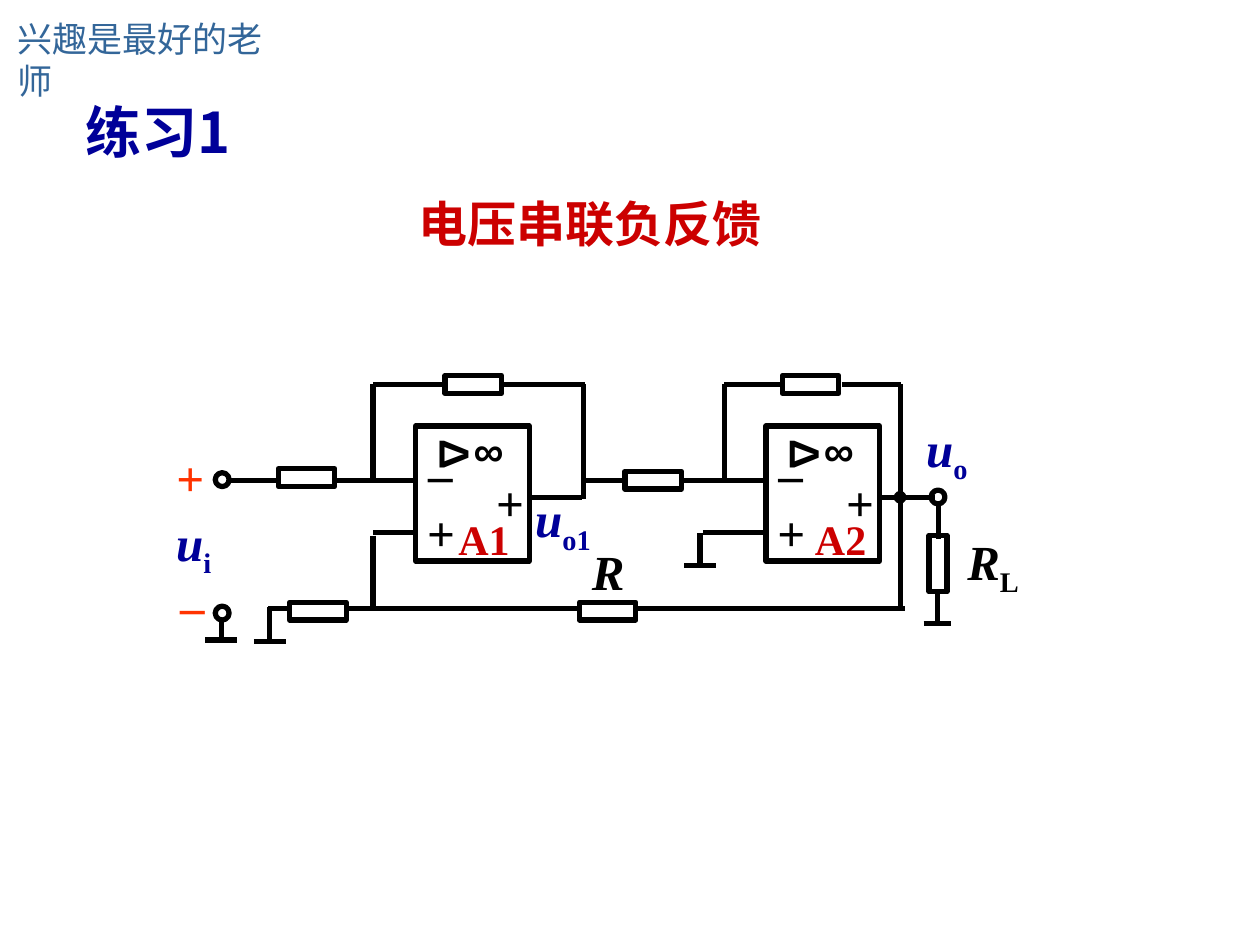
"""Build the exercise slide with a two-stage op-amp feedback circuit."""
from lxml.etree import SubElement
from pptx import Presentation
from pptx.dml.color import RGBColor
from pptx.enum.shapes import MSO_CONNECTOR, MSO_SHAPE
from pptx.enum.text import MSO_ANCHOR, PP_ALIGN
from pptx.oxml.ns import qn
from pptx.util import Cm, Pt

COLORS = {"ink": "000000", "navy": "000099", "red": "CC0000",
          "orange": "FF3300", "steel": "336699"}
CJK, SERIF, SANS = "Noto Sans CJK SC", "Times New Roman", "Arial"
STAGE_STEP = 7.06

HORIZONTAL_WIRES = [
    (7.75, 7.52, 8.97), (7.75, 10.16, 11.79),
    (7.75, 14.6, 15.77), (7.75, 16.97, 18.16),
    (9.68, 4.62, 5.61), (9.68, 6.78, 8.36),
    (9.68, 11.76, 12.62), (9.68, 13.77, 15.49),
    (10.03, 10.67, 11.73), (10.03, 17.73, 18.85),
    (10.74, 7.52, 8.41), (10.74, 14.17, 15.44),
    (12.27, 5.41, 5.84), (12.27, 6.99, 11.63), (12.27, 12.83, 18.24),
]
VERTICAL_WIRES = [
    (7.52, 7.75, 9.7), (7.52, 10.8, 12.27), (11.76, 7.75, 10.06),
    (14.6, 7.75, 9.7), (18.16, 7.75, 12.27), (18.92, 10.19, 10.87),
]
GROUNDS = [(4.46, 12.45, 12.9, 0.32), (5.44, 12.24, 12.93, 0.32),
           (14.11, 10.74, 11.4, 0.32), (18.9, 11.94, 12.57, 0.28)]
RESISTORS = [(8.97, 7.57), (15.77, 7.57), (5.61, 9.45), (12.6, 9.5),
             (5.84, 12.14), (11.68, 12.14)]
TERMINALS = [(4.34, 9.53), (4.34, 12.22), (18.77, 9.88)]
SYMBOLS = [("u", "o1", "navy", 10.54, 9.73, 2.49),
           ("u", "i", "navy", 3.3, 10.21, 1.35),
           ("u", "o", "navy", 18.42, 8.31, 2.49),
           ("R", "L", "ink", 19.25, 10.59, 2.49),
           ("R", "", "ink", 11.68, 10.8, 1.55)]


def add_text(s, text, x, y, w, h, size, color, font=SERIF, bold=True,
             align=PP_ALIGN.LEFT, wrap=True, subscript=None):
    """Add a one-line text box; a subscript of any length makes the base italic."""
    sp = s.shapes.add_textbox(Cm(x), Cm(y), Cm(w), Cm(h))
    tf = sp.text_frame
    tf.word_wrap = wrap
    p = tf.paragraphs[0]
    p.alignment = align
    p.font.size, p.font.bold, p.font.name = Pt(size), bold, font
    p.font.color.rgb = RGBColor.from_string(COLORS[color])
    SubElement(p._p.pPr.find(qn("a:defRPr")), qn("a:ea"), typeface=CJK)
    r = p.add_run()
    r.text = text
    if subscript is not None:
        r.font.italic = True
    if subscript:
        r = p.add_run()
        r.text = subscript
        r._r.get_or_add_rPr().set("baseline", "-25000")
    return sp


def add_outline(s, kind, x, y, w, h, filled=False):
    """Add a black outlined shape, solid black if filled."""
    sp = s.shapes.add_shape(kind, Cm(x), Cm(y), Cm(w), Cm(h))
    sp.shadow.inherit = False
    ink = RGBColor.from_string(COLORS["ink"])
    if filled:
        sp.fill.solid()
        sp.fill.fore_color.rgb = ink
    else:
        sp.fill.background()
    sp.line.color.rgb = ink
    sp.line.width = Pt(0.75 if filled else 3)
    return sp


def add_wire(s, x1, y1, x2, y2):
    """Add a straight black wire."""
    line = s.shapes.add_connector(MSO_CONNECTOR.STRAIGHT,
                                  Cm(x1), Cm(y1), Cm(x2), Cm(y2))
    line.line.color.rgb = RGBColor.from_string(COLORS["ink"])
    line.line.width = Pt(3)
    SubElement(line._element.spPr, qn("a:effectLst"))


def add_ground(s, x, top, bottom, half):
    """Add a ground lead with its bar."""
    add_wire(s, x, top, x, bottom)
    add_wire(s, x - half, bottom, x + half, bottom)


def add_resistor(s, x, y):
    """Add a horizontal resistor body."""
    return add_outline(s, MSO_SHAPE.RECTANGLE, x, y, 1.14, 0.36)


def add_amplifier(s, dx, name, name_x):
    """Add an op-amp block with its pin signs and name."""
    add_outline(s, MSO_SHAPE.RECTANGLE, 8.38 + dx, 8.59, 2.29, 2.72)
    for sign, x, y, w in (("+", 8.36, 10.01, 0.99), ("+", 9.75, 9.4, 1.78),
                          ("–", 8.38, 8.81, 1.45)):
        add_text(s, sign, x + dx, y, w, 1.45, 28, "ink")
    add_text(s, "∞", 9.3 + dx, 8.43, 2.31, 1.27, 24, "ink", SANS)
    gain = add_text(s, "Δ", 8.69 + dx, 8.48, 1.02, 1.27, 24, "ink", SANS,
                    align=PP_ALIGN.CENTER, wrap=False)
    gain.rotation = 90
    add_text(s, name, name_x, 10.22, 1.55, 1.27, 24, "red", wrap=False)


def add_headings(s):
    """Add the motto, the exercise title and the answer."""
    add_text(s, "兴趣是最好的老师", 0.1, 0.23, 5.72, 0.81, 20, "steel", CJK,
             bold=False, wrap=False)
    title = add_text(s, "练习1", 1.47, 1.9, 15.04, 1.47, 32, "navy", CJK)
    title.text_frame.vertical_anchor = MSO_ANCHOR.MIDDLE
    add_text(s, "电压串联负反馈", 7.7, 3.78, 8.38, 1.45, 28, "red",
             align=PP_ALIGN.CENTER)


def add_circuit(s):
    """Add the wires, components and labels of the circuit."""
    for y, x1, x2 in HORIZONTAL_WIRES:
        add_wire(s, x1, y, x2, y)
    for x, y1, y2 in VERTICAL_WIRES:
        add_wire(s, x, y1, x, y2)
    for ground in GROUNDS:
        add_ground(s, *ground)
    for x, y in RESISTORS:
        add_resistor(s, x, y)
    add_resistor(s, 18.34, 11.18).rotation = 270
    for x, y in TERMINALS:
        add_outline(s, MSO_SHAPE.OVAL, x, y, 0.28, 0.28)
    add_outline(s, MSO_SHAPE.OVAL, 18.03, 9.91, 0.23, 0.23, filled=True)
    add_amplifier(s, 0, "A1", 8.99)
    add_amplifier(s, STAGE_STEP, "A2", 16.18)
    for base, subscript, color, x, y, w in SYMBOLS:
        add_text(s, base, x, y, w, 1.6, 28, color, subscript=subscript)
    for sign, x, y, w in (("+", 3.3, 8.89, 1.07), ("–", 3.38, 11.48, 0.99)):
        add_text(s, sign, x, y, w, 1.45, 28, "orange",
                 align=PP_ALIGN.CENTER, wrap=False)


def main():
    """Create and save the slide."""
    prs = Presentation()
    prs.slide_width, prs.slide_height = Cm(25.4), Cm(19.05)
    s = prs.slides.add_slide(prs.slide_layouts[6])
    add_headings(s)
    add_circuit(s)
    prs.save("out.pptx")


if __name__ == "__main__":
    main()
